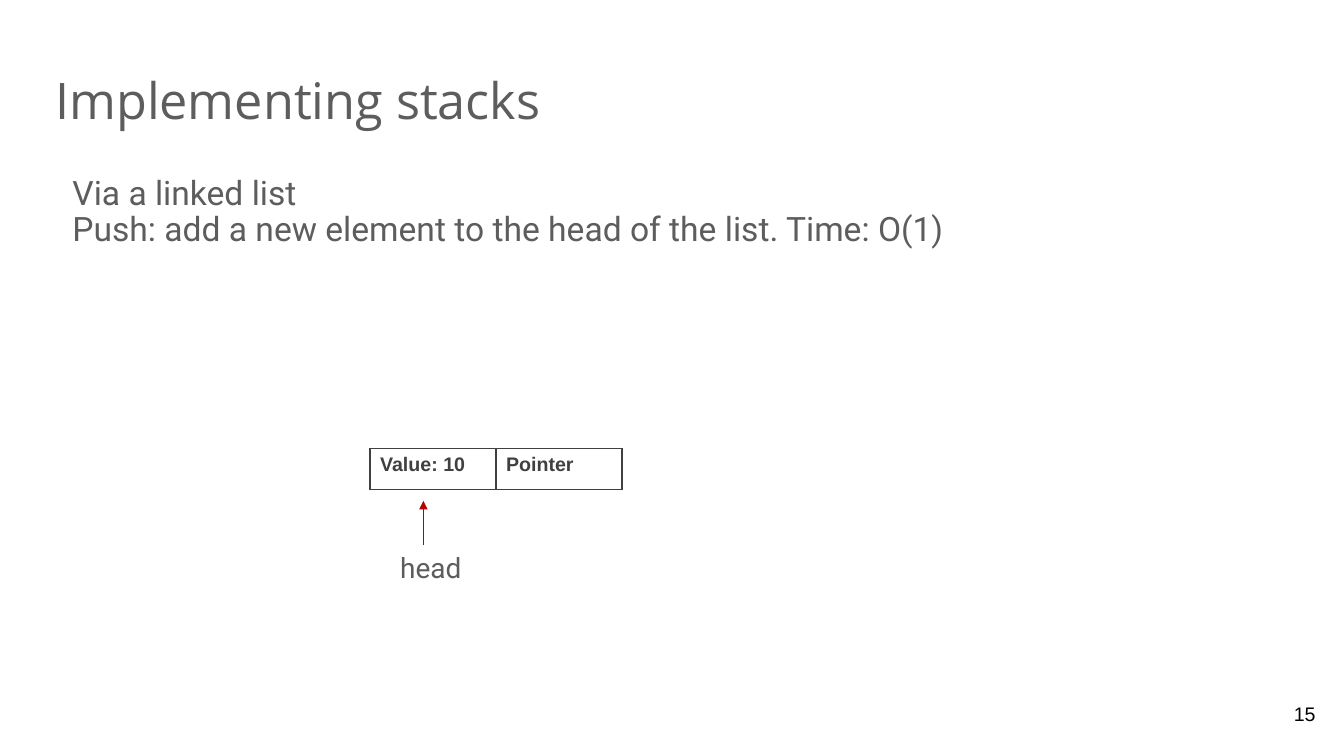
import pptx
import pptx.util
import pptx.dml.color
import pptx.enum.shapes
import pptx.enum.text
import pptx.oxml.ns
import lxml.etree

GREY = pptx.dml.color.RGBColor(0x5D, 0x5D, 0x5D)
DARK = pptx.dml.color.RGBColor(0x40, 0x40, 0x40)
RED = pptx.dml.color.RGBColor(0xB7, 0x00, 0x00)
BLACK = pptx.dml.color.RGBColor(0x00, 0x00, 0x00)

# Places are columns and rows of a grid with ten steps to the inch.
GRID_COLUMNS, GRID_ROWS = 133.33, 75
MARGIN, TEXT_WIDTH = 4.5, 124.2
NODE_LEFT, NODE_TOP, FIELD_WIDTH, NODE_HEIGHT = 36.7, 44.5, 12.5, 4.1
ARROW_COLUMN, ARROW_TIP, HEAD_TOP = 42, 49.7, 54.1

RIGHT = pptx.enum.text.PP_ALIGN.RIGHT
MIDDLE = pptx.enum.text.MSO_ANCHOR.MIDDLE

TEXTS = [
    dict(lines=["Implementing stacks"], box=(MARGIN, 6.5, TEXT_WIDTH, 8.4),
         font="Open Sans", size=36, spacing=0.9),
    dict(lines=["Via a linked list",
                "Push: add a new element to the head of the list. Time: O(1)"],
         box=(MARGIN, 16.5, TEXT_WIDTH, 28.7), size=24, spacing=0.9, indent=1.7),
    dict(lines=["15"], box=(123.5, 68, 8, 5.7), font="Arial", size=14,
         color=BLACK, align=RIGHT, anchor=MIDDLE),
    dict(lines=["head"], box=(NODE_LEFT, HEAD_TOP, 23, 4.4), size=20,
         inset=0.5, indent=2.5),
]
NODE_FIELDS = ["Value: 10", "Pointer"]


def grid(steps):
    return pptx.util.Inches(steps / 10)


def add_run(paragraph, text, font, size, color, bold=False):
    run = paragraph.add_run()
    run.text = text
    run.font.name = font
    run.font.size = pptx.util.Pt(size)
    run.font.color.rgb = color
    run.font.bold = bold


def add_text(slide, lines, box, size, font="Roboto", color=GREY, spacing=1.0,
             indent=0, inset=1, align=None, anchor=pptx.enum.text.MSO_ANCHOR.TOP):
    frame = slide.shapes.add_textbox(*map(grid, box)).text_frame
    frame.word_wrap = True
    frame.vertical_anchor = anchor
    for side in ("left", "top", "right", "bottom"):
        setattr(frame, "margin_" + side, grid(inset))
    for number, line in enumerate(lines):
        paragraph = frame.add_paragraph() if number else frame.paragraphs[0]
        paragraph.line_spacing = spacing
        paragraph.alignment = align
        if indent:
            paragraph._p.get_or_add_pPr().set("marL", str(grid(indent)))
        add_run(paragraph, line, font, size, color)


def add_element(parent, tag, **attributes):
    return lxml.etree.SubElement(parent, pptx.oxml.ns.qn(tag), attributes)


def add_borders(cell):
    properties = cell._tc.get_or_add_tcPr()
    for edge in ("a:lnL", "a:lnR", "a:lnT", "a:lnB"):
        border = add_element(properties, edge, w=str(pptx.util.Pt(1)))
        add_element(add_element(border, "a:solidFill"), "a:srgbClr", val=str(DARK))


def add_node(slide):
    """Draw the list node as a one-row table with a cell for each field."""
    table = slide.shapes.add_table(
        1, len(NODE_FIELDS), grid(NODE_LEFT), grid(NODE_TOP),
        grid(FIELD_WIDTH * len(NODE_FIELDS)), grid(NODE_HEIGHT)).table
    table.first_row = table.horz_banding = False
    for cell, field in zip(table.iter_cells(), NODE_FIELDS):
        add_borders(cell)
        cell.fill.background()
        add_run(cell.text_frame.paragraphs[0], field, "Arial", 14, DARK, bold=True)


def add_head_arrow(slide):
    arrow = slide.shapes.add_connector(
        pptx.enum.shapes.MSO_CONNECTOR.STRAIGHT, grid(ARROW_COLUMN), grid(HEAD_TOP),
        grid(ARROW_COLUMN), grid(ARROW_TIP))
    arrow.line.color.rgb = RED
    arrow.line.width = pptx.util.Pt(0.75)
    add_element(arrow.line._get_or_add_ln(), "a:tailEnd", type="triangle")
    add_element(arrow._element.spPr, "a:effectLst")


def main():
    presentation = pptx.Presentation()
    presentation.slide_width = grid(GRID_COLUMNS)
    presentation.slide_height = grid(GRID_ROWS)
    slide = presentation.slides.add_slide(presentation.slide_layouts[6])
    for text in TEXTS:
        add_text(slide, **text)
    add_node(slide)
    add_head_arrow(slide)
    presentation.save("out.pptx")


if __name__ == "__main__":
    main()
